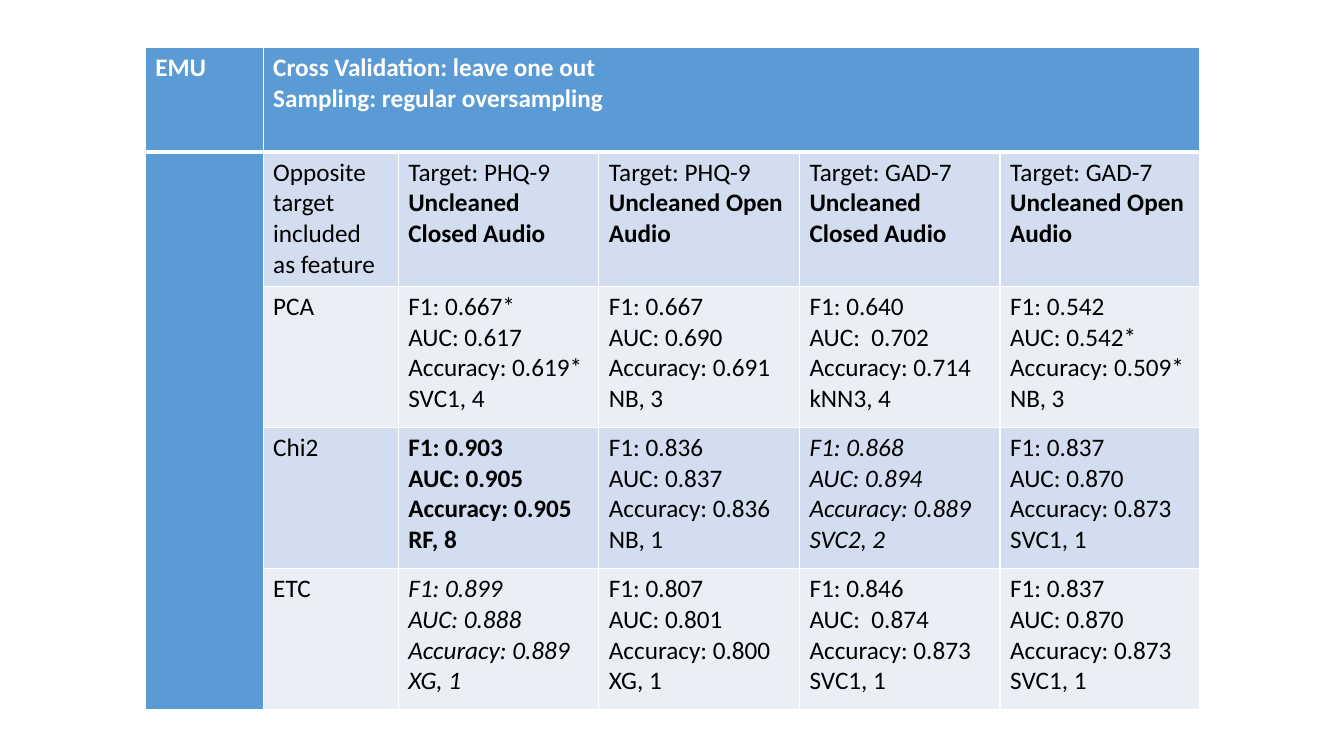
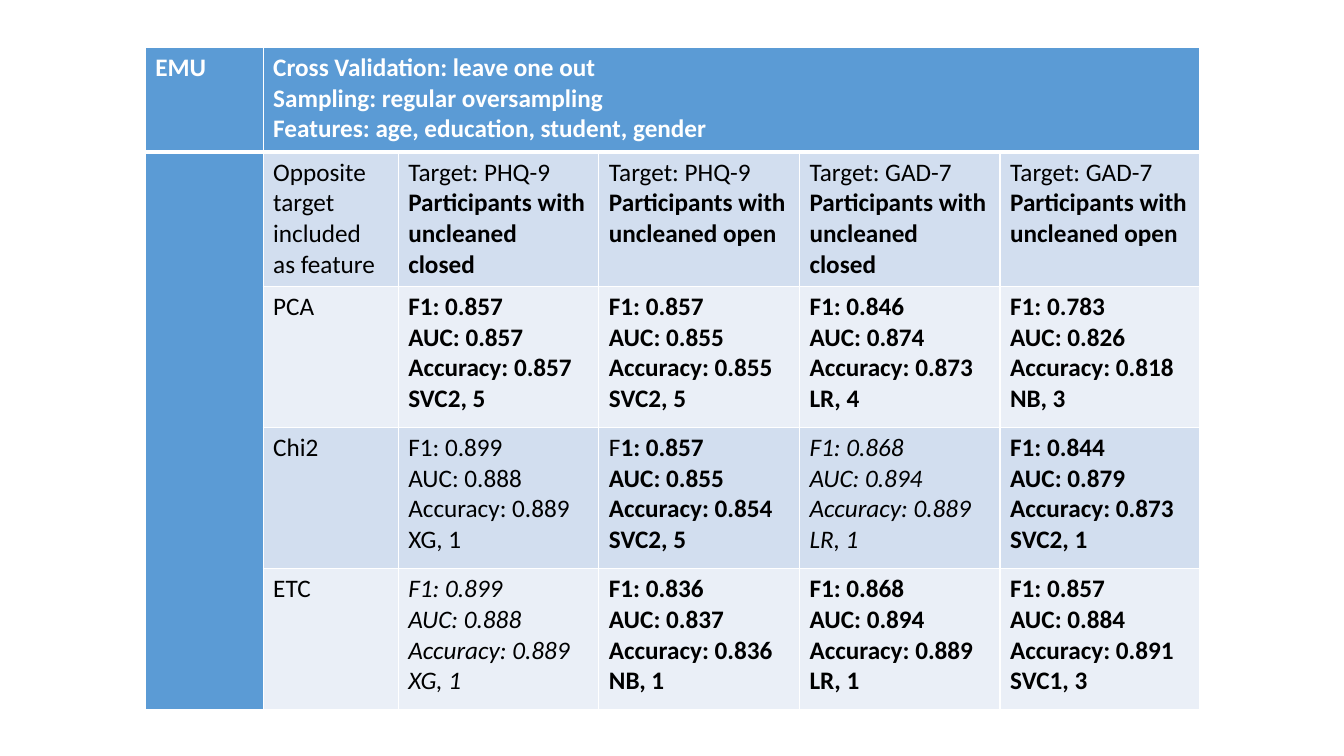
"""Build two slides of model results, each holding one table."""
from lxml.etree import SubElement
from pptx import Presentation
from pptx.dml.color import RGBColor
from pptx.oxml.ns import qn
from pptx.util import Inches, Pt

SLIDE_SIZE = (13.33, 7.5)
TABLE_LEFT, TABLE_TOP = 1.44, 0.47
COLUMN_WIDTHS = (1.17, 1.34, 1.99, 1.99, 1.99, 1.98)
ROW_HEIGHTS = (1.04, 1.33, 1.4, 1.4, 1.4)
FONT_NAME, FONT_SIZE = "Calibri", 18
HEADER_BLUE, WHITE, BLACK = "5B9BD5", "FFFFFF", "000000"
BANDS = ("D2DEEF", "EAEFF7")
THIN, THICK = 1, 3
PLAIN, BOLD, ITALIC = "plain", "bold", "italic"

CORNER = "EMU"
SETTINGS = ["Cross Validation: leave one out", "Sampling: regular oversampling"]
FEATURE_NOTE = "Opposite target included as feature"
TARGETS = ("PHQ-9", "PHQ-9", "GAD-7", "GAD-7")
METRICS = ("F1: ", "AUC: ", "Accuracy: ", "")

SLIDES = [
    {
        "settings": SETTINGS,
        "groups": ("Uncleaned Closed Audio", "Uncleaned Open Audio"),
        "results": {
            "PCA": [
                (PLAIN, "0.667*", "0.617", "0.619*", "SVC1, 4"),
                (PLAIN, "0.667", "0.690", "0.691", "NB, 3"),
                (PLAIN, "0.640", " 0.702", "0.714", "kNN3, 4"),
                (PLAIN, "0.542", "0.542*", "0.509*", "NB, 3"),
            ],
            "Chi2": [
                (BOLD, "0.903", "0.905", "0.905", "RF, 8"),
                (PLAIN, "0.836", "0.837", "0.836", "NB, 1"),
                (ITALIC, "0.868", "0.894", "0.889", "SVC2, 2"),
                (PLAIN, "0.837", "0.870", "0.873", "SVC1, 1"),
            ],
            "ETC": [
                (ITALIC, "0.899", "0.888", "0.889", "XG, 1"),
                (PLAIN, "0.807", "0.801", "0.800", "XG, 1"),
                (PLAIN, "0.846", " 0.874", "0.873", "SVC1, 1"),
                (PLAIN, "0.837", "0.870", "0.873", "SVC1, 1"),
            ],
        },
        "plain_initials": [],
    },
    {
        "settings": SETTINGS + ["Features: age, education, student, gender"],
        "groups": ("Participants with uncleaned closed", "Participants with uncleaned open"),
        "results": {
            "PCA": [
                (BOLD, "0.857", "0.857", "0.857", "SVC2, 5"),
                (BOLD, "0.857", "0.855", "0.855", "SVC2, 5"),
                (BOLD, "0.846", "0.874", "0.873", "LR, 4"),
                (BOLD, "0.783", "0.826", "0.818", "NB, 3"),
            ],
            "Chi2": [
                (PLAIN, "0.899", "0.888", "0.889", "XG, 1"),
                (BOLD, "0.857", "0.855", "0.854", "SVC2, 5"),
                (ITALIC, "0.868", "0.894", "0.889", "LR, 1"),
                (BOLD, "0.844", "0.879", "0.873", "SVC2, 1"),
            ],
            "ETC": [
                (ITALIC, "0.899", "0.888", "0.889", "XG, 1"),
                (BOLD, "0.836", "0.837", "0.836", "NB, 1"),
                (BOLD, "0.868", "0.894", "0.889", "LR, 1"),
                (BOLD, "0.857", "0.884", "0.891", "SVC1, 3"),
            ],
        },
        "plain_initials": [("Chi2", 1)],
    },
]


def color(hex_value):
    """Turn a hex string into a colour."""
    return RGBColor.from_string(hex_value)


def set_borders(cell, top, bottom):
    """Draw white borders around a cell."""
    properties = cell._tc.get_or_add_tcPr()
    for side, width in (("L", THIN), ("R", THIN), ("T", top), ("B", bottom)):
        line = SubElement(properties, qn(f"a:ln{side}"), w=str(Pt(width)))
        SubElement(SubElement(line, qn("a:solidFill")), qn("a:srgbClr"), val=WHITE)


def write(cell, paragraphs, text_color=BLACK):
    """Fill a cell with paragraphs, each a list of (text, style) runs."""
    frame = cell.text_frame
    for index, runs in enumerate(paragraphs):
        paragraph = frame.add_paragraph() if index else frame.paragraphs[0]
        for text, style in runs:
            run = paragraph.add_run()
            run.text = text
            run.font.name = FONT_NAME
            run.font.size = Pt(FONT_SIZE)
            run.font.bold = style == BOLD
            run.font.italic = style == ITALIC
            run.font.color.rgb = color(text_color)


def result_paragraphs(result, plain_initial):
    """Label the values of one result."""
    style, *values = result
    paragraphs = [[(label + value, style)] for label, value in zip(METRICS, values)]
    if plain_initial:
        first_line = paragraphs[0][0][0]
        paragraphs[0] = [(first_line[0], PLAIN), (first_line[1:], style)]
    return paragraphs


def add_grid(slide):
    """Add the empty table with its sizes, fills, borders and merged cells."""
    table = slide.shapes.add_table(
        len(ROW_HEIGHTS), len(COLUMN_WIDTHS), Inches(TABLE_LEFT), Inches(TABLE_TOP),
        Inches(sum(COLUMN_WIDTHS)), Inches(sum(ROW_HEIGHTS))).table
    for column, width in zip(table.columns, COLUMN_WIDTHS):
        column.width = Inches(width)
    for row_index, (row, height) in enumerate(zip(table.rows, ROW_HEIGHTS)):
        row.height = Inches(height)
        for column_index, cell in enumerate(row.cells):
            set_borders(cell, THICK if row_index == 1 else THIN, THIN if row_index else THICK)
            is_header = row_index == 0 or column_index == 0
            cell.fill.solid()
            cell.fill.fore_color.rgb = color(HEADER_BLUE if is_header else BANDS[(row_index - 1) % 2])
    table.cell(0, 1).merge(table.cell(0, len(COLUMN_WIDTHS) - 1))
    table.cell(1, 0).merge(table.cell(len(ROW_HEIGHTS) - 1, 0))
    return table


def add_results_slide(presentation, content):
    """Add one slide and write its results."""
    slide = presentation.slides.add_slide(presentation.slide_layouts[6])
    table = add_grid(slide)
    write(table.cell(0, 0), [[(CORNER, BOLD)]], WHITE)
    write(table.cell(0, 1), [[(text, BOLD)] for text in content["settings"]], WHITE)
    write(table.cell(1, 1), [[(FEATURE_NOTE, PLAIN)]])
    for index, target in enumerate(TARGETS):
        group = content["groups"][index % 2]
        write(table.cell(1, index + 2), [[(f"Target: {target}", PLAIN)], [(group, BOLD)]])
    for row_index, (method, results) in enumerate(content["results"].items(), start=2):
        write(table.cell(row_index, 1), [[(method, PLAIN)]])
        for index, result in enumerate(results):
            plain_initial = (method, index) in content["plain_initials"]
            write(table.cell(row_index, index + 2), result_paragraphs(result, plain_initial))


def main():
    """Create and save the presentation."""
    presentation = Presentation()
    presentation.slide_width, presentation.slide_height = map(Inches, SLIDE_SIZE)
    for content in SLIDES:
        add_results_slide(presentation, content)
    presentation.save("out.pptx")


if __name__ == "__main__":
    main()
